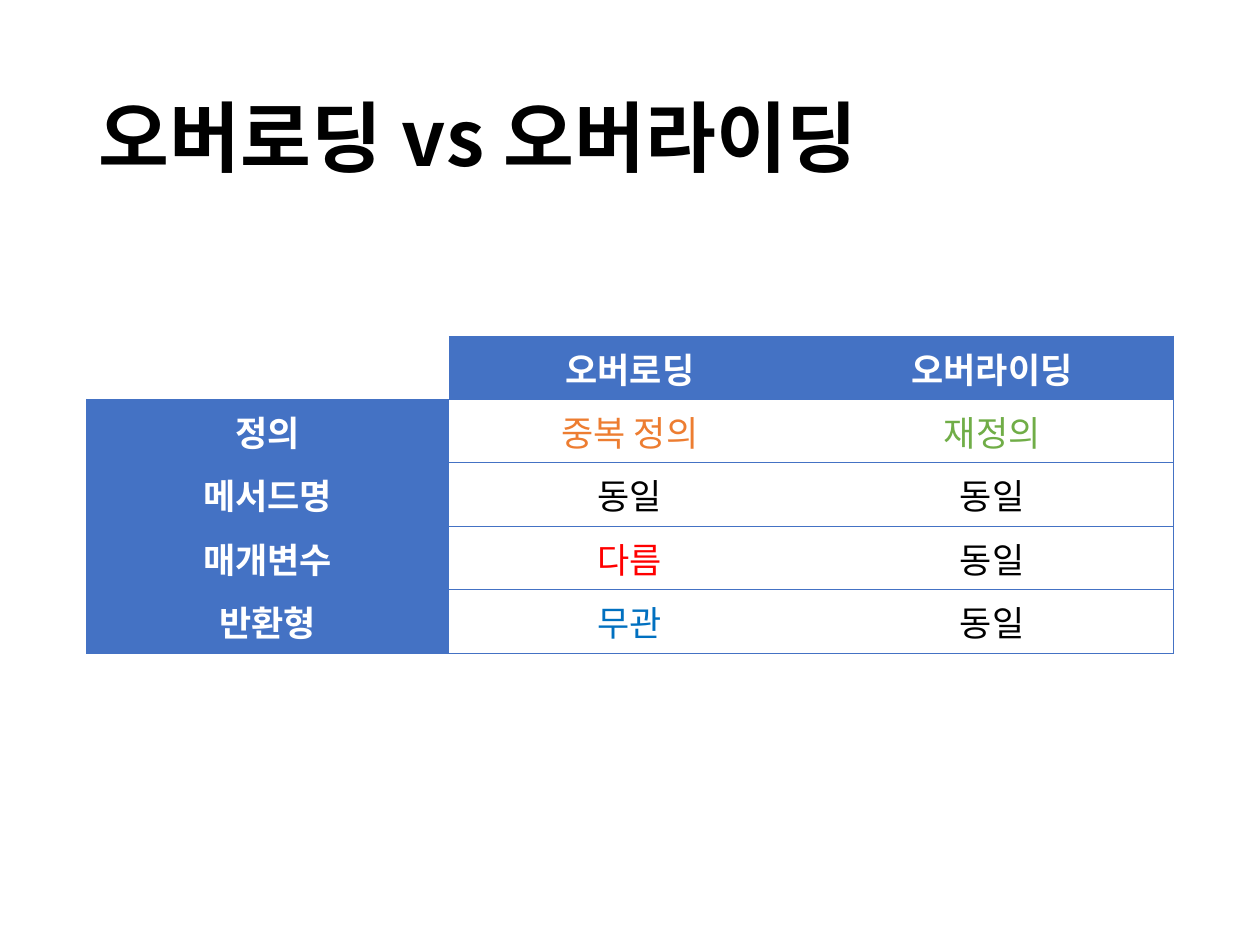
import dataclasses

import lxml.etree
import pptx
import pptx.dml.color
import pptx.enum.text
import pptx.oxml.ns
import pptx.util

Pt = pptx.util.Pt
qn = pptx.oxml.ns.qn


@dataclasses.dataclass(frozen=True)
class Theme:
    font: str = "Noto Sans CJK KR"
    title_size: int = 44
    cell_size: int = 20
    black: str = "000000"
    white: str = "FFFFFF"
    blue: str = "4472C4"
    orange: str = "ED7D31"
    green: str = "70AD47"
    red: str = "FF0000"
    sky: str = "0070C0"


theme = Theme()


def add_text(para, text, *, size, color=theme.black, bold=False, spacing=0):
    span = para.add_run()
    span.text = text
    span.font.name = theme.font
    span.font.size = Pt(size)
    span.font.bold = bold
    span.font.color.rgb = pptx.dml.color.RGBColor.from_string(color)
    properties = span.font._element
    lxml.etree.SubElement(properties, qn("a:ea"), typeface=theme.font)
    if spacing:
        properties.set("spc", str(spacing * 100))


def add_borders(cell, sides):
    """Draw thin blue lines on the sides, given in the order L, R, T, B."""
    properties = cell._tc.get_or_add_tcPr()
    for side in sides:
        line = lxml.etree.SubElement(properties, qn(f"a:ln{side}"), w=str(Pt(0.5)))
        fill = lxml.etree.SubElement(line, qn("a:solidFill"))
        lxml.etree.SubElement(fill, qn("a:srgbClr"), val=theme.blue)


deck = pptx.Presentation()
deck.slide_width, deck.slide_height = Pt(720), Pt(540)
page = deck.slides.add_slide(deck.slide_layouts[6])

# Title, with slightly widened word gaps
box = page.shapes.add_textbox(Pt(49.5), Pt(28.75), Pt(621), Pt(104.4))
box.text_frame.word_wrap = True
box.text_frame.vertical_anchor = pptx.enum.text.MSO_ANCHOR.MIDDLE
para = box.text_frame.paragraphs[0]
para.line_spacing = 0.9
for text, spacing in [("오버로딩", 0), (" ", 1), ("vs", 0), (" ", 1), ("오버라이딩", 0)]:
    add_text(para, text, size=theme.title_size, bold=True, spacing=spacing)

# Comparison table
rows = [
    ("", "오버로딩", "오버라이딩"),
    ("정의", "중복 정의", "재정의"),
    ("메서드명", "동일", "동일"),
    ("매개변수", "다름", "동일"),
    ("반환형", "무관", "동일"),
]
accents = {
    "중복 정의": theme.orange,
    "재정의": theme.green,
    "다름": theme.red,
    "무관": theme.sky,
}
row_height = 36.25
frame = page.shapes.add_table(
    len(rows), 3, Pt(49.5), Pt(192), Pt(621), Pt(row_height * len(rows))
)
table = frame.table
style = table._tbl.tblPr.find(qn("a:tableStyleId"))
style.text = "{2D5ABB26-0587-4C30-8999-92F81FD0307C}"  # no style, no grid

for r, row in enumerate(rows):
    for c, text in enumerate(row):
        cell = table.cell(r, c)
        is_heading = r == 0 or c == 0
        if text:
            add_borders(cell, {0: "LTB", 1: "TB", 2: "RTB"}[c])
            para = cell.text_frame.paragraphs[0]
            para.alignment = pptx.enum.text.PP_ALIGN.CENTER
            color = theme.white if is_heading else accents.get(text, theme.black)
            add_text(para, text, size=theme.cell_size, color=color, bold=is_heading)
        if text and is_heading:
            cell.fill.solid()
            cell.fill.fore_color.rgb = pptx.dml.color.RGBColor.from_string(theme.blue)
        else:
            cell.fill.background()

deck.save("out.pptx")
